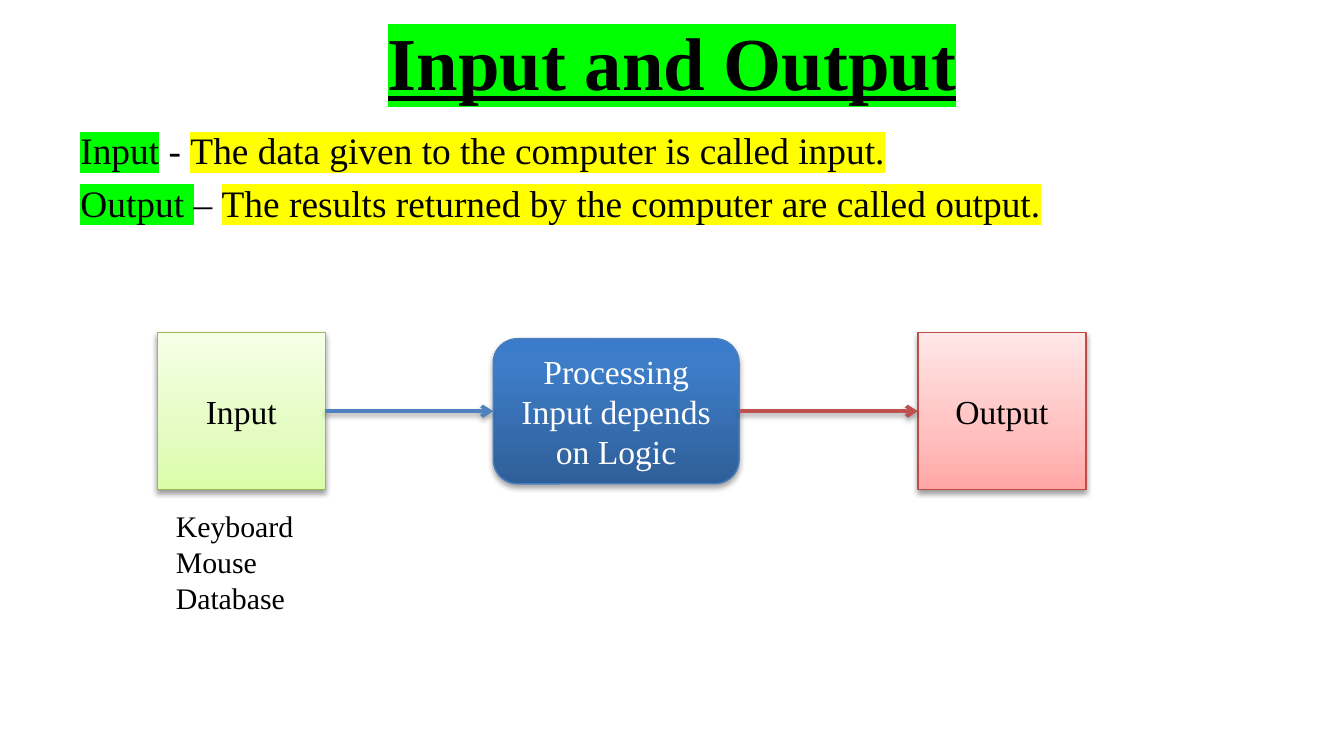
from lxml import etree
from pptx import Presentation
from pptx import util as u
from pptx.dml.color import RGBColor
from pptx.enum import shapes, text
from pptx.oxml.ns import qn

FONT = "Times New Roman"
COLORS = {"black": "000000", "white": "FFFFFF", "green": "00FF00", "yellow": "FFFF00",
          "blue": "4F81BD", "red": "C0504D"}

TITLE = [[("Input and Output", "green")]]
DEFINITIONS = [
    [("Input", "green"), (" - ", None),
     ("The data given to the computer is called input.", "yellow")],
    [("Output ", "green"), ("– ", None),
     ("The results returned by the computer are called output.", "yellow")],
]
INPUT_SOURCES = [[(name, None)] for name in ("Keyboard", "Mouse", "Database")]

RECT, ROUND = shapes.MSO_SHAPE.RECTANGLE, shapes.MSO_SHAPE.ROUNDED_RECTANGLE
# label, outline, left, width, height, gradient stops, line colour, text colour, shadow opacity
STAGES = [
    ("Input", RECT, 1.17, 1.25, 1.17,
     [(0, "DAFDA7"), (35, "E4FCC2"), (100, "F5FFE7")], "98B955", "black", 38),
    ("Processing Input depends on Logic", ROUND, 3.67, 1.83, 1.08,
     [(0, "2F5F99"), (80, "3D7CC7"), (100, "3A7CCB")], "4B7EBC", "white", 35),
    ("Output", RECT, 6.83, 1.25, 1.17,
     [(0, "FFA6A5"), (35, "FFC0BF"), (100, "FFE7E7")], "BF4C48", "black", 38),
]
FLOW_MIDDLE = 3.06
ARROW_COLORS = ["blue", "red"]


def add_color(parent, value, opacity=100):
    color = etree.SubElement(parent, qn("a:srgbClr"), val=value)
    if opacity < 100:
        etree.SubElement(color, qn("a:alpha"), val=str(opacity * 1000))


def write(frame, paragraphs, size, color="black", align=None, anchor=None,
          bold=False, underline=False, before=0, wrap=True):
    """Fill a text frame with paragraphs made of (text, highlight) runs."""
    frame.word_wrap = wrap
    if anchor is not None:
        frame.vertical_anchor = anchor
    for i, pieces in enumerate(paragraphs):
        paragraph = frame.add_paragraph() if i else frame.paragraphs[0]
        paragraph.alignment = align
        paragraph.space_before = u.Pt(before if i else 0)
        for words, highlight in pieces:
            run = paragraph.add_run()
            run.text = words
            font = run.font
            font.size, font.bold, font.underline = u.Pt(size), bold, underline
            font.color.rgb = RGBColor.from_string(COLORS[color])
            if highlight:
                mark = etree.Element(qn("a:highlight"))
                add_color(mark, COLORS[highlight])
                run._r.rPr.find(qn("a:solidFill")).addnext(mark)
            font.name = FONT


def add_shadow(shape, opacity):
    effects = etree.SubElement(shape._element.spPr, qn("a:effectLst"))
    shadow = etree.SubElement(effects, qn("a:outerShdw"), blurRad=str(u.Pt(3.1)),
                              dist=str(u.Pt(1.6)), dir="5400000", rotWithShape="0")
    add_color(shadow, COLORS["black"], opacity)


def add_stage(slide, label, outline, left, width, height, stops, line, color, opacity):
    stage = slide.shapes.add_shape(outline, u.Inches(left), u.Inches(FLOW_MIDDLE - height / 2),
                                   u.Inches(width), u.Inches(height))
    stage.fill.gradient()
    stage.fill.gradient_angle = 90
    stop_list = stage._element.spPr.find(".//" + qn("a:gsLst"))
    stop_list.clear()
    for position, value in stops:
        add_color(etree.SubElement(stop_list, qn("a:gs"), pos=str(position * 1000)), value)
    stage.line.color.rgb = RGBColor.from_string(line)
    stage.line.width = u.Pt(0.75)
    add_shadow(stage, opacity)
    write(stage.text_frame, [[(label, None)]], 18, color=color,
          align=text.PP_ALIGN.CENTER, anchor=text.MSO_ANCHOR.MIDDLE)
    return stage


def add_arrow(slide, start, end, color):
    arrow = slide.shapes.add_connector(shapes.MSO_CONNECTOR.STRAIGHT, 0, 0, 0, 0)
    arrow.begin_connect(start, 3)
    arrow.end_connect(end, 1)
    arrow.line.color.rgb = RGBColor.from_string(COLORS[color])
    arrow.line.width = u.Pt(2)
    etree.SubElement(arrow._element.spPr.find(qn("a:ln")), qn("a:tailEnd"), type="arrow")
    add_shadow(arrow, 38)


def add_text(slide, left, top, width, height, paragraphs, size, **style):
    box = slide.shapes.add_textbox(*map(u.Inches, (left, top, width, height)))
    write(box.text_frame, paragraphs, size, **style)
    return box


def main():
    deck = Presentation()
    deck.slide_width, deck.slide_height = u.Inches(10), u.Inches(10 * 9 / 16)
    slide = deck.slides.add_slide(deck.slide_layouts[5])

    title = slide.shapes.title
    title.left, title.top, title.width, title.height = map(u.Inches, (0.5, -0.02, 9, 0.94))
    write(title.text_frame, TITLE, 40, bold=True, underline=True,
          align=text.PP_ALIGN.CENTER, anchor=text.MSO_ANCHOR.MIDDLE)
    add_text(slide, 0.5, 0.9, 9, 1.25, DEFINITIONS, 20, before=4)

    stages = [add_stage(slide, *stage) for stage in STAGES]
    for start, end, color in zip(stages, stages[1:], ARROW_COLORS):
        add_arrow(slide, start, end, color)

    sources = add_text(slide, 1.21, 3.73, 1.09, 0.91, INPUT_SOURCES, 16, wrap=False)
    sources.text_frame.auto_size = text.MSO_AUTO_SIZE.SHAPE_TO_FIT_TEXT
    deck.save("out.pptx")


if __name__ == "__main__":
    main()
